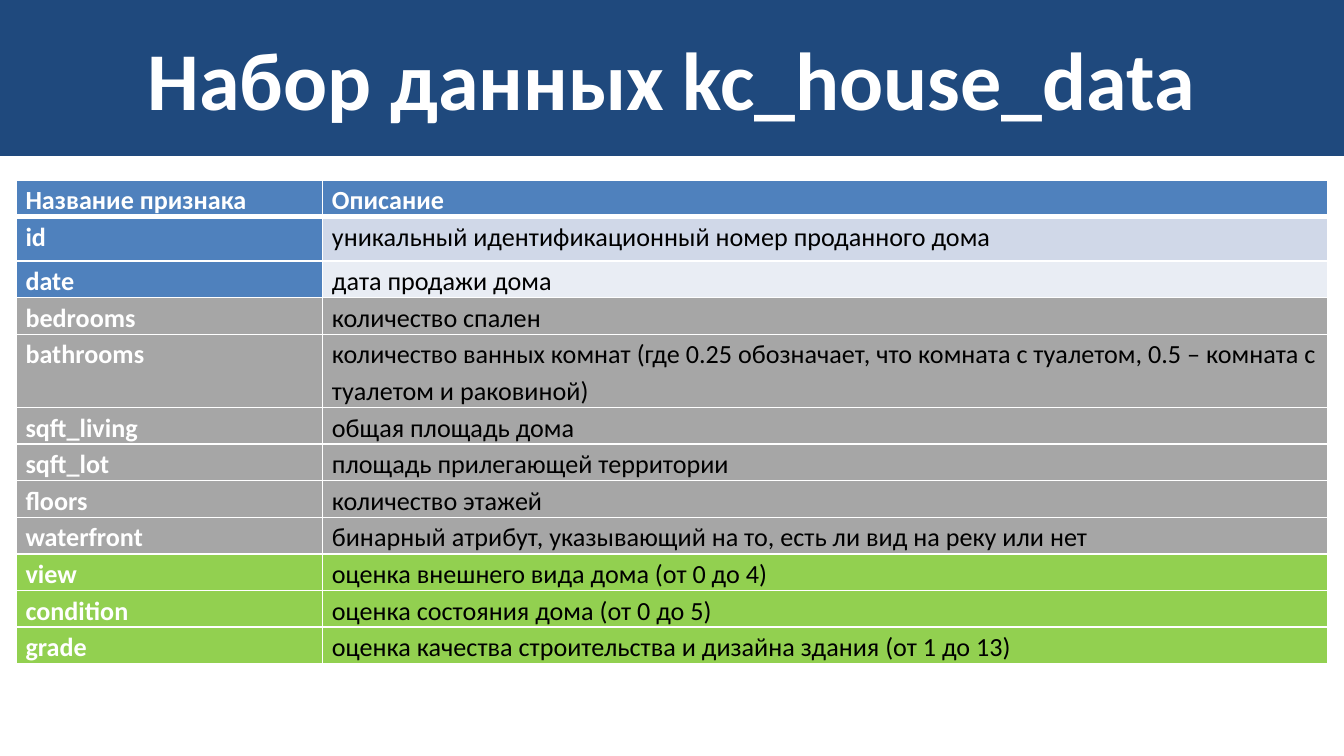
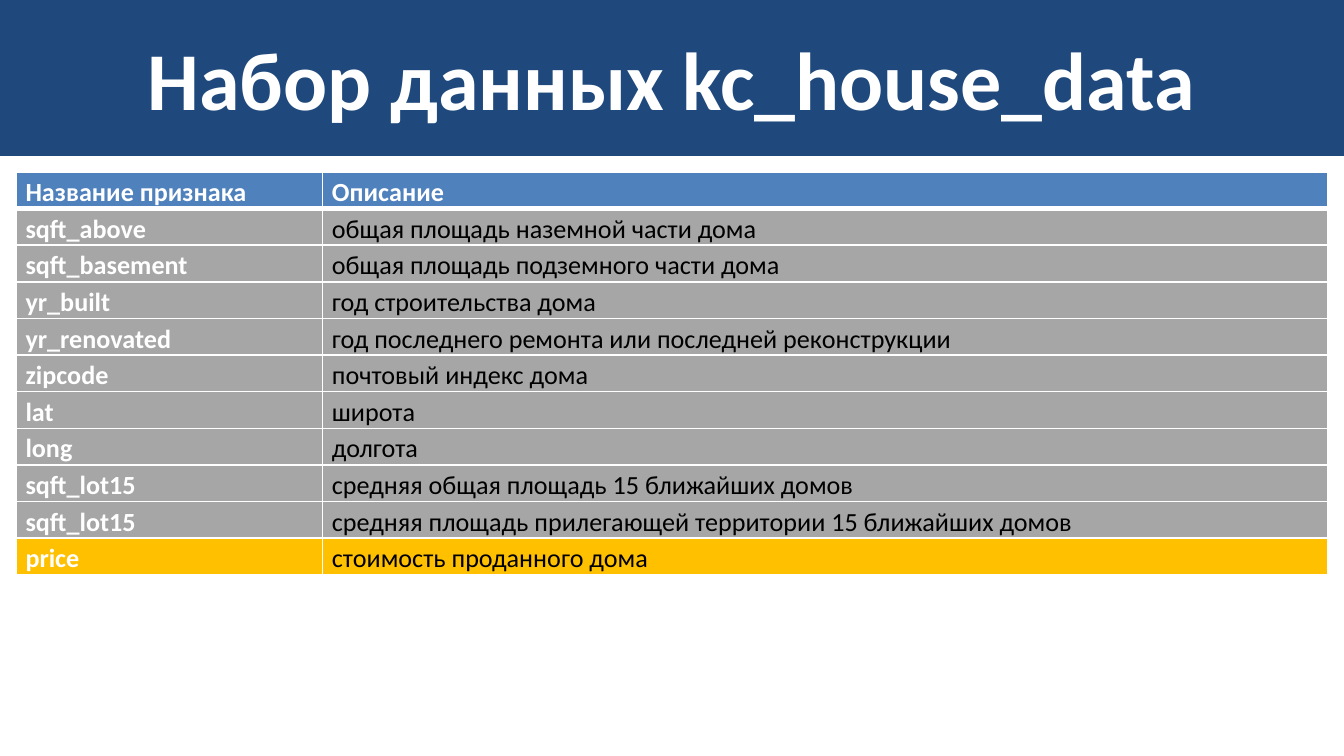
"""Build two slides that describe the features of the kc_house_data set."""
from lxml import etree
from pptx import Presentation
from pptx.dml.color import RGBColor
from pptx.enum.text import MSO_ANCHOR, MSO_AUTO_SIZE, PP_ALIGN
from pptx.oxml.ns import qn
from pptx.util import Inches, Pt

MIDDLE = MSO_ANCHOR.MIDDLE
NO_FIT = MSO_AUTO_SIZE.NONE
CENTER = PP_ALIGN.CENTER
FONT = "Calibri"
TITLE = "Набор данных kc_house_data"
COLORS = {
    "navy": "1F497D",
    "blue": "4F81BD",
    "pale": "D0D8E8",
    "paler": "E9EDF4",
    "gray": "A6A6A6",
    "green": "92D050",
    "gold": "FFC000",
    "white": "FFFFFF",
    "black": "000000",
}
COL_WIDTHS = (2.28, 7.48)
ROW_HEIGHT = 0.26
TALL_ROWS = {"id": 0.33, "bathrooms": 2 * ROW_HEIGHT}
HEADER = ("Название признака", "Описание", "blue", "blue")

TABLES = [
    (1.34, [
        ("id", "уникальный идентификационный номер проданного дома", "blue", "pale"),
        ("date", "дата продажи дома", "blue", "paler"),
        ("bedrooms", "количество спален", "gray", "gray"),
        ("bathrooms", "количество ванных комнат (где 0.25 обозначает, что комната "
         "с туалетом, 0.5 – комната с туалетом и раковиной)", "gray", "gray"),
        ("sqft_living", "общая площадь дома", "gray", "gray"),
        ("sqft_lot", "площадь прилегающей территории", "gray", "gray"),
        ("floors", "количество этажей", "gray", "gray"),
        ("waterfront", "бинарный атрибут, указывающий на то, есть ли вид на реку или нет",
         "gray", "gray"),
        ("view", "оценка внешнего вида дома (от 0 до 4)", "green", "green"),
        ("condition", "оценка состояния дома (от 0 до 5)", "green", "green"),
        ("grade", "оценка качества строительства и дизайна здания (от 1 до 13)",
         "green", "green"),
    ]),
    (1.28, [
        ("sqft_above", "общая площадь наземной части дома", "gray", "gray"),
        ("sqft_basement", "общая площадь подземного части дома", "gray", "gray"),
        ("yr_built", "год строительства дома", "gray", "gray"),
        ("yr_renovated", "год последнего ремонта или последней реконструкции",
         "gray", "gray"),
        ("zipcode", "почтовый индекс дома", "gray", "gray"),
        ("lat", "широта", "gray", "gray"),
        ("long", "долгота", "gray", "gray"),
        ("sqft_lot15", "средняя общая площадь 15 ближайших домов", "gray", "gray"),
        ("sqft_lot15", "средняя площадь прилегающей территории 15 ближайших домов",
         "gray", "gray"),
        ("price", "стоимость проданного дома", "gold", "gold"),
    ]),
]


def write_text(tf, text, size=14, color="white", bold=True, align=None,
               spacing=None, after=None):
    p = tf.paragraphs[0]
    p.alignment = align
    p.line_spacing = spacing
    p.space_after = after
    r = p.add_run()
    r.text = text
    r.font.name = FONT
    r.font.size = Pt(size)
    r.font.bold = bold
    r.font.color.rgb = RGBColor.from_string(COLORS[color])


def add_borders(cell, widths):
    tcPr = cell._tc.get_or_add_tcPr()
    for side, width in widths.items():
        ln = etree.SubElement(tcPr, qn(f"a:ln{side}"), w=str(Pt(width)))
        fill = etree.SubElement(ln, qn("a:solidFill"))
        etree.SubElement(fill, qn("a:srgbClr"), val=COLORS["white"])


prs = Presentation()
prs.slide_width = Inches(10)
prs.slide_height = prs.slide_width * 9 // 16

for top, features in TABLES:
    s = prs.slides.add_slide(prs.slide_layouts[5])
    sp = s.shapes.title
    sp.left, sp.top = Inches(0), Inches(0)
    sp.width, sp.height = prs.slide_width, Inches(1.16)
    sp.fill.solid()
    sp.fill.fore_color.rgb = RGBColor.from_string(COLORS["navy"])
    tf = sp.text_frame
    tf.word_wrap = True
    tf.auto_size = NO_FIT
    tf.vertical_anchor = MIDDLE
    write_text(tf, TITLE, size=44, align=CENTER)

    rows = [HEADER] + features
    heights = [TALL_ROWS.get(row[0], ROW_HEIGHT) for row in rows]
    table = s.shapes.add_table(
        len(rows), len(COL_WIDTHS), Inches(0.12), Inches(top),
        Inches(sum(COL_WIDTHS)), Inches(sum(heights))).table
    for col, width in zip(table.columns, COL_WIDTHS):
        col.width = Inches(width)

    for i, (name, description, *fills) in enumerate(rows):
        table.rows[i].height = Inches(heights[i])
        for j, text in enumerate((name, description)):
            is_head = i == 0 or j == 0
            cell = table.cell(i, j)
            cell.margin_left = cell.margin_right = Inches(0.07)
            cell.margin_top = cell.margin_bottom = Inches(0)
            add_borders(cell, {"L": 1, "R": 1, "T": 1, "B": 3} if i == 0
                        else {"L": 1, "R": 1, "B": 1})
            cell.fill.solid()
            cell.fill.fore_color.rgb = RGBColor.from_string(COLORS[fills[j]])
            write_text(cell.text_frame, text, bold=is_head, spacing=1.15,
                       color="white" if is_head else "black", after=Pt(6))

prs.save("out.pptx")
